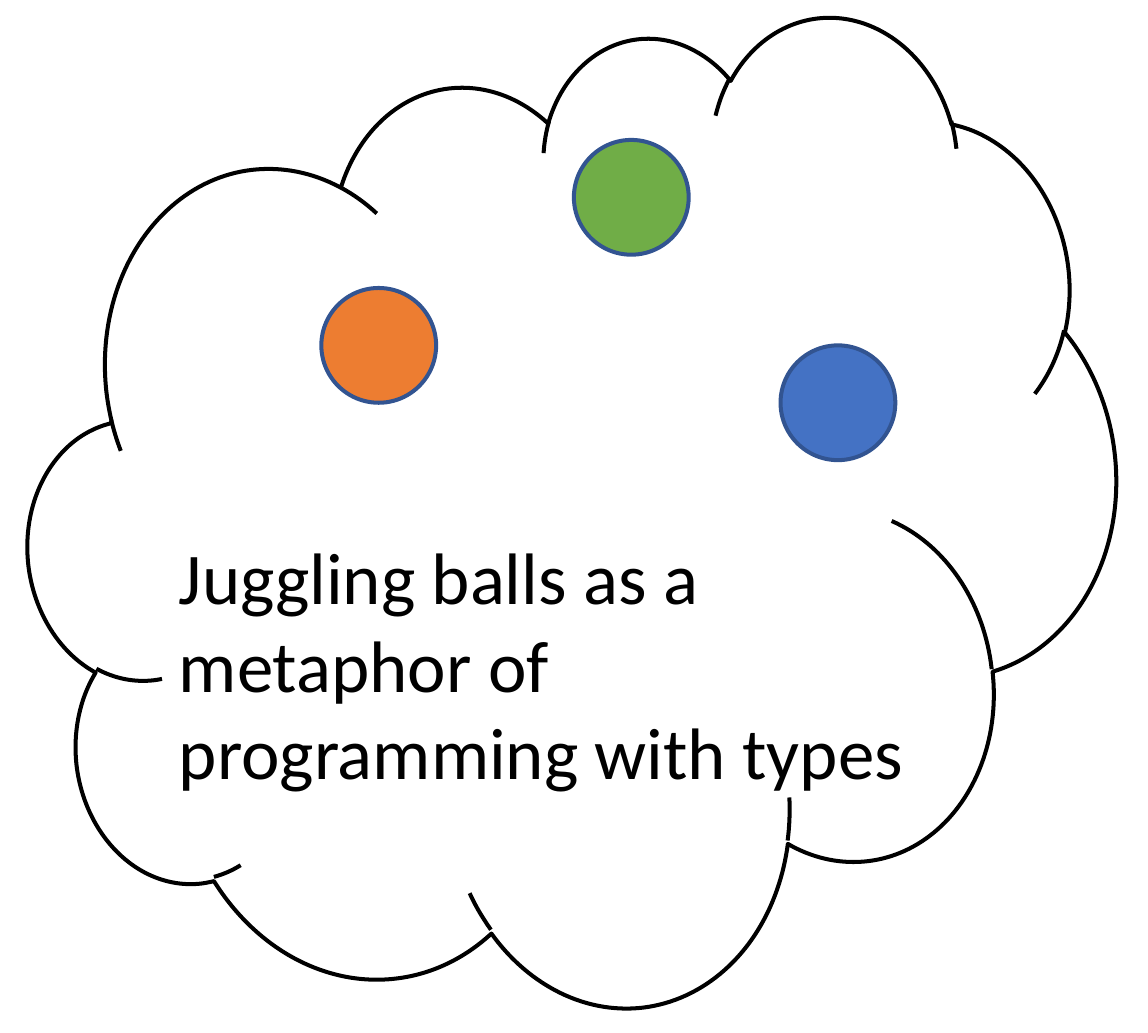
from dataclasses import dataclass

from pptx import Presentation
from pptx.dml.color import RGBColor
from pptx.enum.shapes import MSO_SHAPE
from pptx.enum.text import MSO_ANCHOR, MSO_AUTO_SIZE, PP_ALIGN
from pptx.util import Cm, Mm, Pt

CLOUD, OVAL = MSO_SHAPE.CLOUD, MSO_SHAPE.OVAL
TOP, LEFT = MSO_ANCHOR.TOP, PP_ALIGN.LEFT
FIT_SHAPE = MSO_AUTO_SIZE.SHAPE_TO_FIT_TEXT

# The slide is a grid of 100 columns by 90 rows, one millimetre each
SLIDE_W, SLIDE_H = Cm(10), Cm(9)
COLUMNS, ROWS = 100, 90
BLANK_LAYOUT = 6


@dataclass(frozen=True)
class Theme:
    font: str = "Calibri"
    caption_size: int = 18
    line_width: int = 1
    ink: str = "000000"
    ball_edge: str = "325491"
    orange: str = "ED7D31"
    green: str = "70AD47"
    blue: str = "4472C4"


THEME = Theme()


def rgb(color):
    return RGBColor.from_string(color)


def add_outlined(slide, preset, box, edge, fill=None):
    shape = slide.shapes.add_shape(preset, *map(Mm, box))
    shape.shadow.inherit = False
    if fill:
        shape.fill.solid()
        shape.fill.fore_color.rgb = rgb(fill)
    else:
        shape.fill.background()
    shape.line.color.rgb = rgb(edge)
    shape.line.width = Pt(THEME.line_width)
    return shape


def add_caption(slide, box, text):
    caption = slide.shapes.add_textbox(*map(Mm, box))
    frame = caption.text_frame
    frame.word_wrap = True
    frame.auto_size = FIT_SHAPE
    frame.vertical_anchor = TOP
    paragraph = frame.paragraphs[0]
    paragraph.text = text
    paragraph.alignment = LEFT
    paragraph.font.name = THEME.font
    paragraph.font.size = Pt(THEME.caption_size)
    paragraph.font.color.rgb = rgb(THEME.ink)


def add_balls(slide, box):
    """Place the balls by their centres, in columns and rows of the box."""
    left, top, width, _ = box
    diameter = width / 10
    balls = [
        (33, 30.1, THEME.orange),
        (55, 17.2, THEME.green),
        (73, 35.1, THEME.blue),
    ]
    for column, row, color in balls:
        ball_box = (left + column - diameter / 2, top + row - diameter / 2,
                    diameter, diameter)
        add_outlined(slide, OVAL, ball_box, THEME.ball_edge, color)


def add_thought(slide, box):
    left, top, width, height = box

    # Tilted cloud
    cloud_box = (left + 2.5, top + 4.1, width - 5, height - 6.2)
    cloud = add_outlined(slide, CLOUD, cloud_box, THEME.ink)
    cloud.rotation = -6.7

    # Caption in the lower half
    add_caption(slide, (left + 13.1, top + 45.1, 69.3, 25.7),
                "Juggling balls as a metaphor of programming with types")

    # Juggling balls above the caption
    add_balls(slide, box)


def main():
    deck = Presentation()
    deck.slide_width, deck.slide_height = SLIDE_W, SLIDE_H
    slide = deck.slides.add_slide(deck.slide_layouts[BLANK_LAYOUT])
    add_thought(slide, (0, 0, COLUMNS, ROWS))
    deck.save("out.pptx")


if __name__ == "__main__":
    main()
